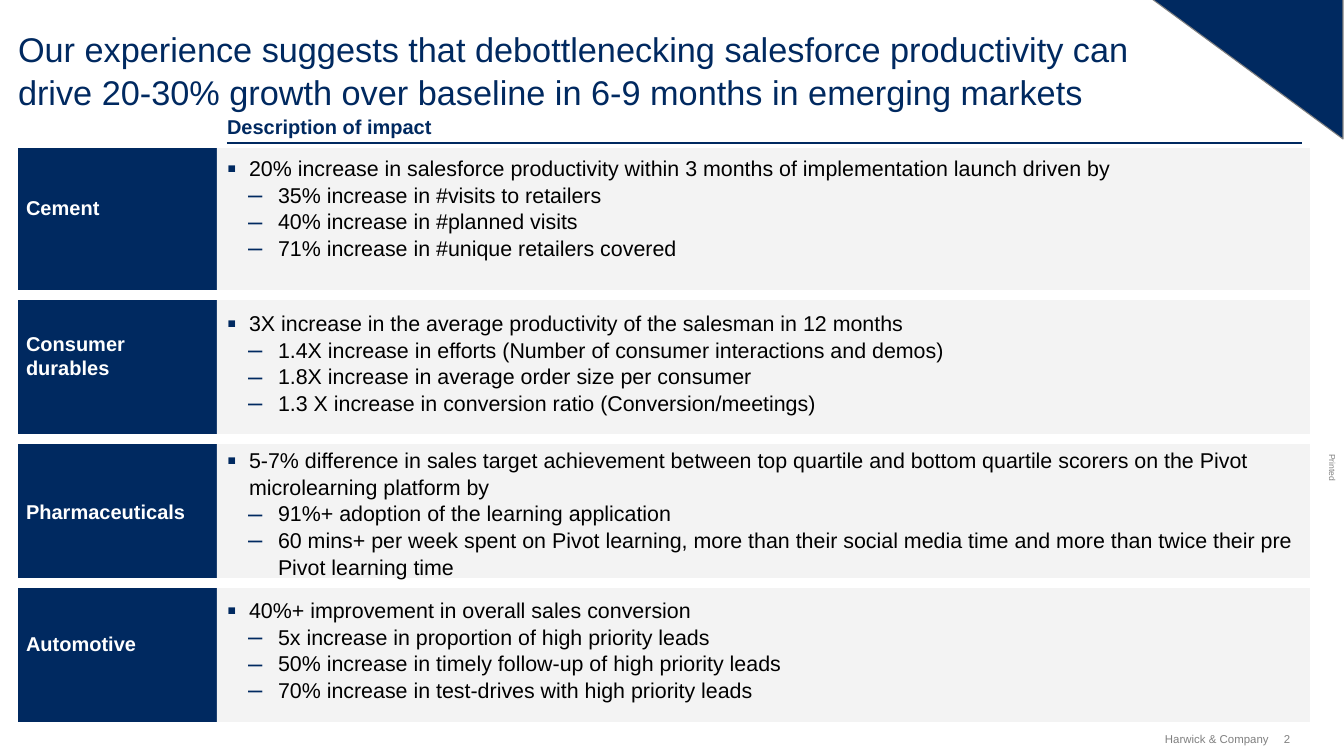
from dataclasses import dataclass

import lxml.etree
import pptx
import pptx.dml.color
import pptx.enum.shapes
import pptx.enum.text
import pptx.oxml.ns
import pptx.util

NAVY = pptx.dml.color.RGBColor(0x00, 0x29, 0x60)
GRAY = pptx.dml.color.RGBColor(0x80, 0x80, 0x80)
PALE = pptx.dml.color.RGBColor(0xF3, 0xF3, 0xF3)
WHITE = pptx.dml.color.RGBColor(0xFF, 0xFF, 0xFF)
BLACK = pptx.dml.color.RGBColor(0x00, 0x00, 0x00)

FONT = "Arial"
LINE_SPACING = 1.04
EMU_PER_PX = 8895

LABEL_LEFT, LABEL_WIDTH = 18, 199
BAND_LEFT, BAND_WIDTH = 217, 1093
LIST_LEFT, LIST_WIDTH = 227, 1075
FIRST_ROW_TOP, ROW_GAP = 148, 10
LIST_LINE_HEIGHT = 26

Anchor = pptx.enum.text.MSO_ANCHOR
Align = pptx.enum.text.PP_ALIGN
Preset = pptx.enum.shapes.MSO_SHAPE


@dataclass(frozen=True)
class Industry:
    name: str
    height: int
    list_offset: int
    line_count: int
    label_bottom_margin: int
    impact: str
    drivers: tuple[str, ...]


@dataclass(frozen=True)
class Caption:
    text: str
    left: int
    top: int
    width: int
    height: int
    size: int
    color: pptx.dml.color.RGBColor = GRAY
    bold: bool = False
    anchor: Anchor = Anchor.MIDDLE
    align: Align = Align.LEFT
    rotation: int = 0
    bottom_margin: int = 0


@dataclass(frozen=True)
class Bullet:
    character: str
    percent: int
    margin: int
    hanging: int


BULLETS = (Bullet("▪", 125, 22, 22), Bullet("–", 120, 51, 30))

INDUSTRIES = (
    Industry("Cement", 142, 6, 4, 32,
             "20% increase in salesforce productivity within 3 months of implementation launch driven by",
             ("35% increase in #visits to retailers",
              "40% increase in #planned visits",
              "71% increase in #unique retailers covered")),
    Industry("Consumer durables", 134, 9, 4, 32,
             "3X increase in the average productivity of the salesman in 12 months",
             ("1.4X increase in efforts (Number of consumer interactions and demos)",
              "1.8X increase in average order size per consumer",
              "1.3 X increase in conversion ratio (Conversion/meetings)")),
    Industry("Pharmaceuticals", 134, 2, 5, 8,
             "5-7% difference in sales target achievement between top quartile and bottom quartile "
             "scorers on the Pivot microlearning platform by",
             ("91%+ adoption of the learning application",
              "60 mins+ per week spent on Pivot learning, more than their social media time and more "
              "than twice their pre Pivot learning time")),
    Industry("Automotive", 134, 8, 4, 32,
             "40%+ improvement in overall sales conversion",
             ("5x increase in proportion of high priority leads",
              "50% increase in timely follow-up of high priority leads",
              "70% increase in test-drives with high priority leads")),
)

CAPTIONS = (
    Caption("Printed", 1319, 463, 28, 10, 6, anchor=Anchor.TOP, rotation=90),
    Caption("2", 1284, 732, 14, 13, 8),
    Caption("Harwick & Company", 1154, 732, 115, 13, 8, align=Align.RIGHT),
    Caption("Description of impact", 227, 113, 1075, 28, 14, NAVY, True, Anchor.BOTTOM, bottom_margin=2),
)


def px(length: int) -> pptx.util.Emu:
    return pptx.util.Emu(length * EMU_PER_PX)


def place(shape, left: int, top: int, width: int, height: int) -> None:
    shape.left, shape.top, shape.width, shape.height = map(px, (left, top, width, height))


def format_frame(frame, anchor: Anchor, margins: tuple[int, int, int, int] = (0, 0, 0, 0)) -> None:
    frame.auto_size = pptx.enum.text.MSO_AUTO_SIZE.NONE
    frame.word_wrap = True
    frame.vertical_anchor = anchor
    frame.margin_left, frame.margin_top, frame.margin_right, frame.margin_bottom = map(px, margins)


def format_paragraph(paragraph, size: int, color: pptx.dml.color.RGBColor,
                     bold: bool = False, align: Align = Align.LEFT) -> None:
    paragraph.alignment = align
    paragraph.line_spacing = LINE_SPACING
    paragraph.space_before = pptx.util.Pt(0)
    font = paragraph.font
    font.name, font.size, font.bold = FONT, pptx.util.Pt(size), bold
    font.color.rgb = color


def add_bullet(paragraph, bullet: Bullet) -> None:
    properties = paragraph._p.get_or_add_pPr()
    properties.set("marL", str(px(bullet.margin)))
    properties.set("indent", str(-px(bullet.hanging)))
    qn = pptx.oxml.ns.qn
    color = lxml.etree.SubElement(properties, qn("a:buClr"))
    lxml.etree.SubElement(color, qn("a:srgbClr"), val=str(NAVY))
    lxml.etree.SubElement(properties, qn("a:buSzPct"), val=str(bullet.percent * 1000))
    lxml.etree.SubElement(properties, qn("a:buFont"), typeface=FONT)
    lxml.etree.SubElement(properties, qn("a:buChar"), char=bullet.character)


def add_filled_shape(slide, preset: Preset, left: int, top: int, width: int, height: int,
                     color: pptx.dml.color.RGBColor):
    shape = slide.shapes.add_shape(preset, *map(px, (left, top, width, height)))
    shape.shadow.inherit = False
    shape.fill.solid()
    shape.fill.fore_color.rgb = color
    shape.line.fill.background()
    return shape


def add_caption(slide, caption: Caption) -> None:
    box = slide.shapes.add_textbox(*map(px, (caption.left, caption.top, caption.width, caption.height)))
    box.rotation = caption.rotation
    format_frame(box.text_frame, caption.anchor, (0, 0, 0, caption.bottom_margin))
    box.text_frame.word_wrap = False
    paragraph = box.text_frame.paragraphs[0]
    paragraph.text = caption.text
    format_paragraph(paragraph, caption.size, caption.color, caption.bold, caption.align)


def add_industry(slide, industry: Industry, top: int, body) -> None:
    label = add_filled_shape(slide, Preset.RECTANGLE, LABEL_LEFT, top, LABEL_WIDTH, industry.height, NAVY)
    format_frame(label.text_frame, Anchor.MIDDLE, (8, 8, 8, industry.label_bottom_margin))
    label.text_frame.text = industry.name
    format_paragraph(label.text_frame.paragraphs[0], 14, WHITE, bold=True)

    add_filled_shape(slide, Preset.RECTANGLE, BAND_LEFT, top, BAND_WIDTH, industry.height, PALE)
    body.element.getparent().append(body.element)
    place(body, LIST_LEFT, top + industry.list_offset, LIST_WIDTH, industry.line_count * LIST_LINE_HEIGHT)
    format_frame(body.text_frame, Anchor.TOP)
    body.text_frame.text = "\n".join((industry.impact, *industry.drivers))
    for index, paragraph in enumerate(body.text_frame.paragraphs):
        paragraph.level = min(index, 1)
        add_bullet(paragraph, BULLETS[paragraph.level])
        format_paragraph(paragraph, 15, BLACK)


def main() -> None:
    presentation = pptx.Presentation()
    presentation.slide_width, presentation.slide_height = px(1344), px(756)
    slide = presentation.slides.add_slide(presentation.slide_layouts.get_by_name("Comparison"))

    title = slide.shapes.title
    place(title, 18, 27, 1187, 83)
    format_frame(title.text_frame, Anchor.TOP)
    title.text_frame.text = ("Our experience suggests that debottlenecking salesforce productivity can "
                             "drive 20-30% growth over baseline in 6-9 months in emerging markets")
    format_paragraph(title.text_frame.paragraphs[0], 24, NAVY)

    corner = add_filled_shape(slide, Preset.RIGHT_TRIANGLE, 1152, -1, 191, 140, NAVY)
    corner.rotation = 180
    corner.line.color.rgb = GRAY
    corner.line.width = pptx.util.Pt(0.75)

    for caption in CAPTIONS:
        add_caption(slide, caption)

    rule = slide.shapes.add_connector(pptx.enum.shapes.MSO_CONNECTOR.STRAIGHT,
                                      *map(px, (LIST_LEFT, 143, LIST_LEFT + LIST_WIDTH, 143)))
    rule.line.color.rgb = NAVY
    rule.line.width = pptx.util.Pt(0.75)
    lxml.etree.SubElement(rule.element.spPr, pptx.oxml.ns.qn("a:effectLst"))

    top = FIRST_ROW_TOP
    bodies = [slide.placeholders[index] for index in range(1, 5)]
    for industry, body in zip(INDUSTRIES, bodies):
        add_industry(slide, industry, top, body)
        top += industry.height + ROW_GAP

    presentation.save("out.pptx")


if __name__ == "__main__":
    main()
